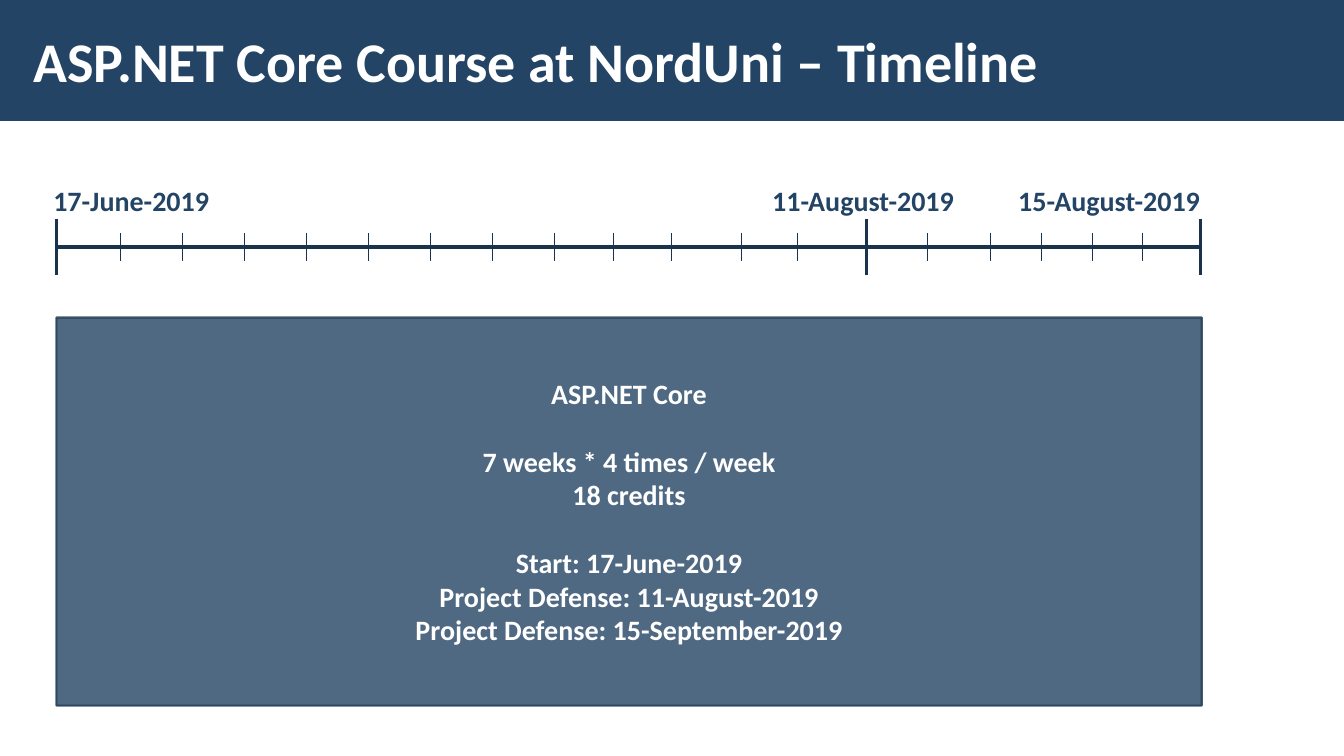
from dataclasses import dataclass

from lxml.etree import SubElement
from pptx import Presentation
from pptx.dml.color import RGBColor as RGB
from pptx.enum.shapes import MSO_CONNECTOR as CONN, MSO_SHAPE as SHAPE
from pptx.enum.text import MSO_ANCHOR as ANCHOR, MSO_AUTO_SIZE as FIT, PP_ALIGN as ALIGN
from pptx.oxml.ns import qn
from pptx.util import Inches, Pt

COLORS = {"navy": "234465", "line": "1A334C", "white": "FFFFFF"}
FONT = "Calibri"
LEFT, RIGHT, AXIS_Y = 0.56, 11.91, 2.45
LINE_PT = 24.4  # height of one 20 pt text line


@dataclass
class TickRun:
    """Evenly spaced ticks from first to last."""
    first: float
    last: float
    count: int


@dataclass
class DateLabel:
    text: str
    left: float
    width: float
    tick: float


TICK_RUNS = [
    TickRun(1.19, 5.5, 8),
    TickRun(6.08, 6.66, 2),
    TickRun(7.35, 7.91, 2),
    TickRun(9.2, 9.82, 2),
    TickRun(10.33, 11.33, 3),
]
DATES = [
    DateLabel("17-June-2019", 0.43, 1.75, LEFT),
    DateLabel("11-August-2019", 7.56, 2.02, 8.59),
    DateLabel("15-August-2019", 10, 2.02, RIGHT),
]
# Each group of lines stands one line apart from the next
COURSE_GROUPS = [
    ["ASP.NET Core"],
    ["7 weeks * 4 times / week", "18 credits"],
    ["Start: 17-June-2019", "Project Defense: 11-August-2019",
     "Project Defense: 15-September-2019"],
]


def rgb(name: str) -> RGB:
    return RGB.from_string(COLORS[name])


def write(p, text: str, *, size: float = 20, color: str = "white",
          align=ALIGN.LEFT, before: float = 0) -> None:
    p.alignment = align
    p.space_before = Pt(before)
    r = p.add_run()
    r.text = text
    r.font.name, r.font.size, r.font.bold = FONT, Pt(size), True
    r.font.color.rgb = rgb(color)


def set_alpha(fill_owner, percent: int) -> None:
    clr = fill_owner.find(qn("a:solidFill"))[0]
    SubElement(clr, qn("a:alpha")).set("val", str(percent * 1000))


def add_rect(s, left: float, top: float, width: float, height: float):
    sp = s.shapes.add_shape(SHAPE.RECTANGLE, Inches(left), Inches(top),
                            Inches(width), Inches(height))
    sp.shadow.inherit = False
    sp.fill.solid()
    sp.fill.fore_color.rgb = rgb("navy")
    sp.line.fill.background()
    return sp


def add_line(s, x1: float, y1: float, x2: float, y2: float, width: float) -> None:
    sp = s.shapes.add_connector(CONN.STRAIGHT, Inches(x1), Inches(y1),
                                Inches(x2), Inches(y2))
    sp.line.color.rgb = rgb("line")
    sp.line.width = Pt(width)
    SubElement(sp._element.spPr, qn("a:effectLst"))


def add_tick(s, x: float, half: float, width: float) -> None:
    add_line(s, x, AXIS_Y - half, x, AXIS_Y + half, width)


def add_title(s, text: str) -> None:
    add_rect(s, 0, 0, 13.33, 1.2)
    tf = s.shapes.add_textbox(Inches(0.21), Inches(0.11),
                              Inches(10.39), Inches(0.97)).text_frame
    tf.word_wrap = True
    tf.vertical_anchor = ANCHOR.MIDDLE
    tf.margin_left = tf.margin_right = Inches(0.12)
    tf.margin_top = tf.margin_bottom = Inches(0.04)
    write(tf.paragraphs[0], text, size=40)


def add_course_box(s) -> None:
    sp = add_rect(s, LEFT, 3.15, 11.36, 3.85)
    sp.line.color.rgb = rgb("line")
    sp.line.width = Pt(1.5)
    set_alpha(sp._element.spPr, 80)
    set_alpha(sp._element.spPr.find(qn("a:ln")), 80)
    tf = sp.text_frame
    tf.vertical_anchor = ANCHOR.MIDDLE
    p = tf.paragraphs[0]
    for g, group in enumerate(COURSE_GROUPS):
        for i, text in enumerate(group):
            if g or i:
                p = tf.add_paragraph()
            write(p, text, align=ALIGN.CENTER,
                  before=LINE_PT if g and i == 0 else 0)


def add_timeline(s) -> None:
    add_line(s, LEFT, AXIS_Y, RIGHT, AXIS_Y, 2.25)
    for run in TICK_RUNS:
        step = (run.last - run.first) / (run.count - 1)
        for i in range(run.count):
            add_tick(s, run.first + i * step, 0.14, 0.5)
    for date in DATES:
        add_tick(s, date.tick, 0.28, 2.25)
        tf = s.shapes.add_textbox(Inches(date.left), Inches(1.77),
                                  Inches(date.width), Inches(0.44)).text_frame
        tf.word_wrap = False
        tf.auto_size = FIT.SHAPE_TO_FIT_TEXT
        write(tf.paragraphs[0], date.text, color="navy")


def main() -> None:
    prs = Presentation()
    prs.slide_width, prs.slide_height = Inches(13.33), Inches(7.5)
    s = prs.slides.add_slide(prs.slide_layouts[6])
    # Header, course details, timeline
    add_title(s, "ASP.NET Core Course at NordUni – Timeline")
    add_course_box(s)
    add_timeline(s)
    prs.save("out.pptx")


if __name__ == "__main__":
    main()
